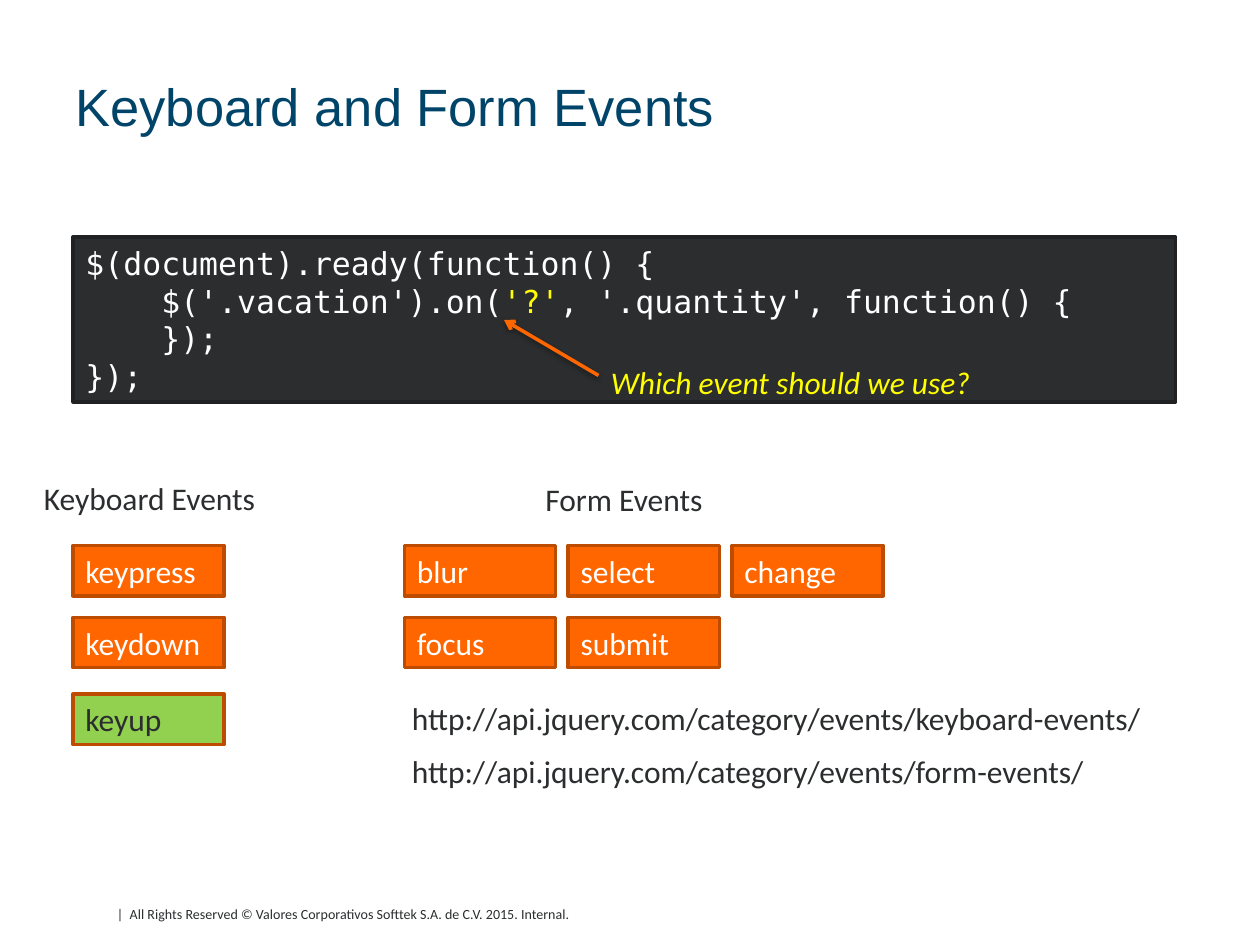
"""Build the slide on keyboard and form events."""
from lxml.etree import SubElement as Sub
from pptx import Presentation
from pptx.dml.color import RGBColor as Rgb
from pptx.enum.shapes import MSO_CONNECTOR as Link, MSO_SHAPE as Form
from pptx.enum.text import MSO_ANCHOR as Anchor, PP_ALIGN as Align
from pptx.oxml.ns import qn
from pptx.util import Inches, Pt

WIDE, HIGH = 10, 7.5
HUES = {"dark": "2B2D2E", "edge": "202122", "white": "FFFFFF", "hint": "FFFF00",
        "tag": "FF6600", "rim": "BD4B00", "pick": "92D050", "title": "004569"}
BODY = {"name": "Calibri", "size": Pt(18)}
MONO = {"name": "DejaVu Sans Mono", "size": Pt(18)}
HEAD = {"name": "Arial", "size": Pt(30)}
FOOT = {"name": "Calibri", "size": Pt(8)}

TITLE = "Keyboard and Form Events"
CODE = [
    [("$(document).ready(function() {", "white")],
    [("    $('.vacation').on(", "white"), ("'?'", "hint"),
     (", '.quantity', function() {", "white")],
    [("    });", "white")],
    [("});", "white")],
]
ASK = "Which event should we use?"
LABELS = [("Keyboard Events", 0.25, 3.75, 1.9), ("Form Events", 4.23, 3.76, 1.46)]
LINKS = ["http://api.jquery.com/category/events/keyboard-events/",
         "http://api.jquery.com/category/events/form-events/"]
RIGHTS = "|  All Rights Reserved © Valores Corporativos Softtek S.A. de C.V. 2015. Internal."
GROUPS = [
    (0.58, [["keypress"], ["keydown"], ["keyup"]]),
    (3.21, [["blur", "select", "change"], ["focus", "submit"]]),
]
PICK = "keyup"
ROWS = [4.33, 4.9, 5.51]
STEP, TAG, LINE = 1.3, 1.2, 0.4


def paint(font, hue, style):
    """Set a font from a dict of values and a colour name."""
    for key, val in style.items():
        setattr(font, key, val)
    font.color.rgb = Rgb.from_string(HUES[hue])


def write(shape, lines, style):
    """Fill a shape with lines of coloured runs."""
    frame = shape.text_frame
    frame.word_wrap = True
    for i, line in enumerate(lines):
        para = frame.add_paragraph() if i else frame.paragraphs[0]
        para.alignment = Align.LEFT
        for text, hue in line:
            run = para.add_run()
            run.text = text
            paint(run.font, hue, style)


def note(slide, text, spot, hue="dark", style=BODY):
    """Add one line of plain text."""
    box = slide.shapes.add_textbox(*map(Inches, spot))
    write(box, [[(text, hue)]], style)


def block(slide, spot, fill, rim, lines, style):
    """Add a filled box with text."""
    box = slide.shapes.add_shape(Form.RECTANGLE, *map(Inches, spot))
    box.shadow.inherit = False
    box.fill.solid()
    box.fill.fore_color.rgb = Rgb.from_string(HUES[fill])
    box.line.color.rgb = Rgb.from_string(HUES[rim])
    box.line.width = Pt(2)
    write(box, lines, style)


def arrow(slide, start, end):
    """Add an arrow with a soft shadow."""
    link = slide.shapes.add_connector(Link.STRAIGHT, *map(Inches, start + end))
    link.line.color.rgb = Rgb.from_string(HUES["tag"])
    link.line.width = Pt(2)
    Sub(link.line._get_or_add_ln(), qn("a:tailEnd"), type="arrow")
    glow = Sub(link._element.spPr, qn("a:effectLst"))
    cast = Sub(glow, qn("a:outerShdw"), blurRad=str(Pt(3.1)), dist=str(Pt(1.6)),
               dir="5400000", rotWithShape="0")
    shade = Sub(cast, qn("a:srgbClr"), val="000000")
    Sub(shade, qn("a:alpha"), val="38000")


def main():
    """Lay out the slide and save it."""
    deck = Presentation()
    deck.slide_width, deck.slide_height = Inches(WIDE), Inches(HIGH)
    slide = deck.slides.add_slide(deck.slide_layouts[5])

    title = slide.shapes.title
    spot = {"left": 0.5, "top": 0.21, "width": 7.87, "height": 0.93}
    for key, val in spot.items():
        setattr(title, key, Inches(val))
    title.text_frame.vertical_anchor = Anchor.BOTTOM
    write(title, [[(TITLE, "title")]], HEAD)
    title.text_frame.paragraphs[0].line_spacing = Pt(30)

    block(slide, (0.58, 1.88, 8.75, 1.31), "dark", "edge", CODE, MONO)
    note(slide, ASK, (4.75, 2.83, 3.09, LINE), "hint", {**BODY, "italic": True})
    arrow(slide, (4.75, 2.98), (4, 2.54))

    for text, left, top, width in LABELS:
        note(slide, text, (left, top, width, LINE))
    for left, rows in GROUPS:
        for top, names in zip(ROWS, rows):
            for col, name in enumerate(names):
                fill, ink = ("pick", "dark") if name == PICK else ("tag", "white")
                spot = (left + col * STEP, top, TAG, LINE)
                block(slide, spot, fill, "rim", [[(name, ink)]], BODY)
    for row, text in enumerate(LINKS):
        note(slide, text, (3.17, 5.5 + row * 0.42, 6.08, LINE))
    note(slide, RIGHTS, (0.83, 7.14, 5.59, 0.16), style=FOOT)
    deck.save("out.pptx")


if __name__ == "__main__":
    main()
